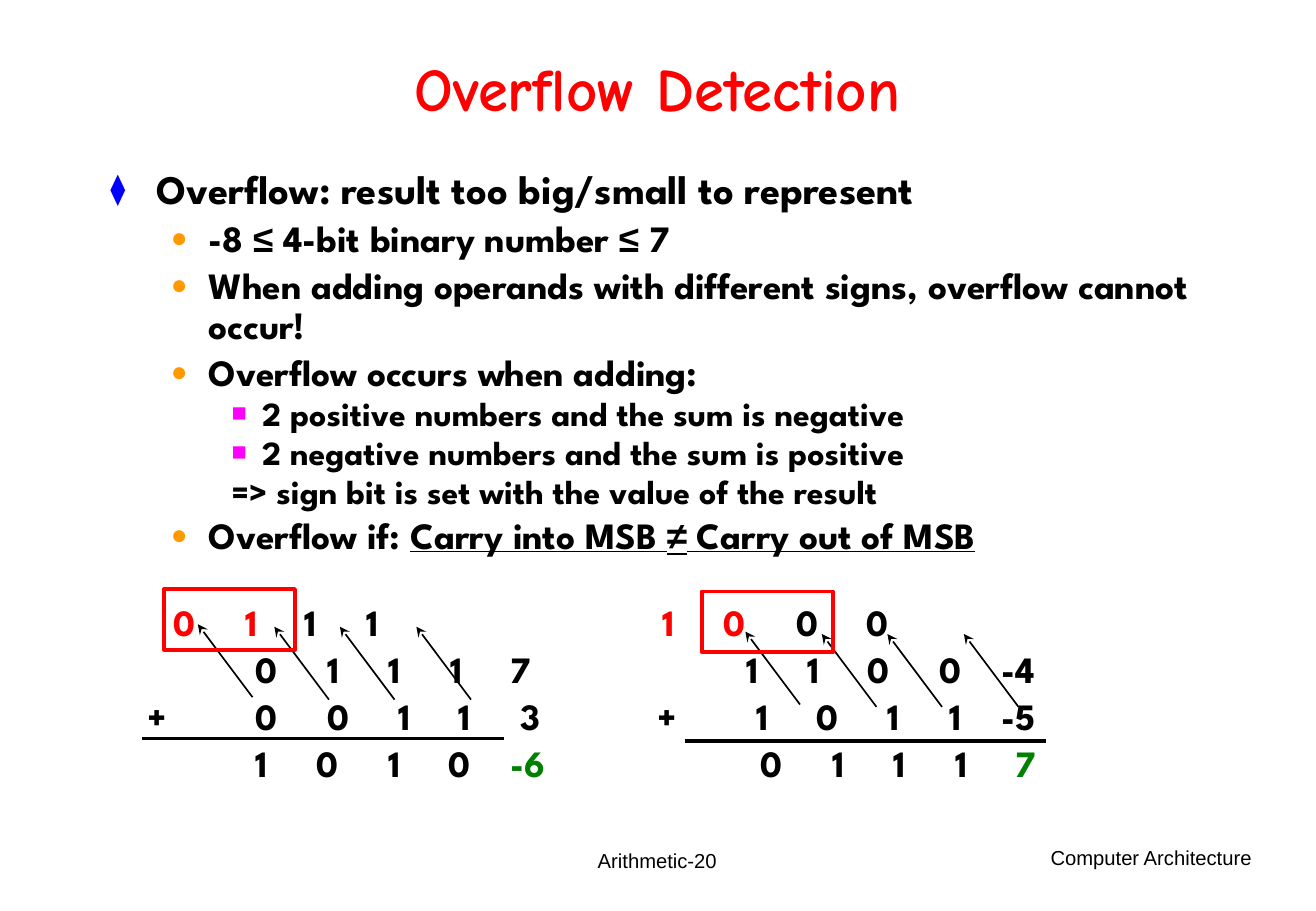
from pptx import Presentation
from pptx.dml.color import RGBColor
from pptx.enum.shapes import MSO_CONNECTOR, MSO_SHAPE
from pptx.enum.text import MSO_ANCHOR, PP_ALIGN
from pptx.oxml.ns import qn
from pptx.util import Inches, Pt
from lxml import etree

LINE, RECT = MSO_CONNECTOR.STRAIGHT, MSO_SHAPE.RECTANGLE
TOP, MIDDLE = MSO_ANCHOR.TOP, MSO_ANCHOR.MIDDLE
LEFT, CENTER, RIGHT = PP_ALIGN.LEFT, PP_ALIGN.CENTER, PP_ALIGN.RIGHT
BLACK = RGBColor(0, 0, 0)
RED = RGBColor(255, 0, 0)
GREEN = RGBColor(0, 128, 0)
BLUE = RGBColor(0, 0, 255)
ORANGE = RGBColor(255, 153, 0)
PINK = RGBColor(255, 0, 255)
SANS, TITLE, BODY = "Arial", "Comic Neue", "League Spartan"

deck = Presentation()
deck.slide_width, deck.slide_height = Inches(10.84), Inches(7.5)
slide = deck.slides.add_slide(deck.slide_layouts[6])
shapes = slide.shapes


def write(para, text, size=22, color=BLACK, font=BODY, bold=True, under=False):
    """Add one run; symbols missing from the body font are set in Arial."""
    for part in text.replace("≤", "|≤|").replace("≠", "|≠|").split("|"):
        if part:
            run = para.add_run()
            run.text = part
            style = run.font
            style.size, style.bold, style.underline = Pt(size), bold, under
            style.name = SANS if part in "≤≠" else font
            style.color.rgb = color


def add_line(x1, y1, x2, y2, width, arrow=False):
    line = shapes.add_connector(LINE, Inches(x1), Inches(y1), Inches(x2), Inches(y2))
    line.line.color.rgb = BLACK
    line.line.width = Pt(width)
    if arrow:
        etree.SubElement(line.line._get_or_add_ln(), qn("a:tailEnd"), type="stealth")
    etree.SubElement(line._element.spPr, qn("a:effectLst"))


# Text frames: title, body and the two footers
frames = []
for x, y, w, h, anchor in [
    (0.81, 0.27, 9.21, 0.99, MIDDLE),
    (0.81, 1.35, 9.21, 5.56, TOP),
    (3.7, 6.83, 3.43, 0.5, MIDDLE),
    (8.12, 6.91, 2.29, 0.5, TOP),
]:
    frame = shapes.add_textbox(Inches(x), Inches(y), Inches(w), Inches(h)).text_frame
    frame.word_wrap = True
    frame.vertical_anchor = anchor
    frames.append(frame)
head, body, number, course = frames

for frame, text, align, style in [
    (head, "Overflow Detection", CENTER, dict(size=36, color=RED, font=TITLE)),
    (number, "Arithmetic-20", CENTER, dict(size=12, font=SANS, bold=False)),
    (course, "Computer Architecture", RIGHT, dict(size=12, font=SANS, bold=False)),
]:
    para = frame.paragraphs[0]
    para.alignment = align
    write(para, text, **style)
head.paragraphs[0].line_spacing = 0.85

# Bullets: level -> left margin, hang, line spacing, space before, size, mark, colour
LEVELS = [
    (0.38, 0.38, 0.9, 4.5, 24, "⧫", BLUE),
    (0.81, 0.31, 0.9, 4.1, 22, "●", ORANGE),
    (1.25, 0.25, 0.8, 3.7, 20, "■", PINK),
]
BULLETS = [
    (0, True, "Overflow: result too big/small to represent", ""),
    (1, True, "-8 ≤ 4-bit binary number ≤ 7", ""),
    (1, True, "When adding operands with different signs, overflow cannot occur!", ""),
    (1, True, "Overflow occurs when adding:", ""),
    (2, True, "2 positive numbers and the sum is negative", ""),
    (2, True, "2 negative numbers and the sum is positive", ""),
    (2, False, "=> sign bit is set with the value of the result", ""),
    (1, True, "Overflow if: ", "Carry into MSB ≠ Carry out of MSB"),
]
para = body.paragraphs[0]
for level, marked, text, stress in BULLETS:
    margin, hang, spacing, before, size, mark, color = LEVELS[level]
    para.level = level
    para.line_spacing, para.space_before = spacing, Pt(before)
    write(para, text, size)
    write(para, stress, size, under=True)
    props = para._p.get_or_add_pPr()
    props.set("marL", str(Inches(margin)))
    props.set("indent", str(-Inches(hang)))
    if marked:
        tint = etree.SubElement(props, qn("a:buClr"))
        etree.SubElement(tint, qn("a:srgbClr"), val=str(color))
        etree.SubElement(props, qn("a:buSzPct"), val="75000")
        etree.SubElement(props, qn("a:buFont"), typeface=SANS)
        etree.SubElement(props, qn("a:buChar"), char=mark)
    else:
        etree.SubElement(props, qn("a:buNone"))
    para = body.add_paragraph()

# Sums: each digit is centred on a tab stop; the places count from the slide edge
EDGE = 0.91
ROWS = [
    ("0 1 1 1 1 0 0 0", (1.52, 2.07, 2.56, 3.07, 5.51, 6.05, 6.65, 7.23),
     {0: RED, 1: RED, 4: RED, 5: RED}),
    ("0 1 1 1 7 1 1 0 0 -4",
     (2.2, 2.75, 3.25, 3.76, 4.29, 6.2, 6.7, 7.24, 7.83, 8.39), {}),
    ("+ 0 0 1 1 3 + 1 0 1 1 -5",
     (1.3, 2.2, 2.79, 3.33, 3.83, 4.37, 5.5, 6.28, 6.82, 7.36, 7.87, 8.39), {}),
    ("1 0 1 0 -6 0 1 1 1 7",
     (2.16, 2.7, 3.25, 3.79, 4.35, 6.36, 6.91, 7.41, 7.92, 8.45),
     {4: GREEN, 9: GREEN}),
]
for row, (digits, places, tints) in enumerate(ROWS):
    if row:
        para = body.add_paragraph()
    para.alignment = LEFT
    para.line_spacing = 0.9
    para.space_before = Pt(4.1 if row else 27.8)
    tabs = etree.SubElement(para._p.get_or_add_pPr(), qn("a:tabLst"))
    for i, (digit, place) in enumerate(zip(digits.split(), places)):
        etree.SubElement(tabs, qn("a:tab"), pos=str(Inches(place - EDGE)), algn="ctr")
        write(para, "\t" + digit, color=tints.get(i, BLACK))

# Rule, carry arrows and carry frame of each sum
for rule_x, rule_y, first_x, first_y, box_x, box_y in [
    (1.17, 6.08, 2.08, 5.74, 1.35, 4.85),
    (5.64, 6.1, 6.59, 5.8, 5.78, 4.87),
]:
    add_line(rule_x, rule_y, rule_x + 2.98, rule_y, 2)
    for dx, dy in [(0, 0), (0.63, 0.02), (1.17, 0.02), (1.8, 0.02)]:
        x, y = first_x + dx, first_y + dy
        add_line(x, y, x - 0.45, y - 0.6, 1, arrow=True)
    box = shapes.add_shape(RECT, Inches(box_x), Inches(box_y), Inches(1.08), Inches(0.5))
    box.shadow.inherit = False
    box.fill.background()
    box.line.color.rgb = RED
    box.line.width = Pt(2.25)

deck.save("out.pptx")
